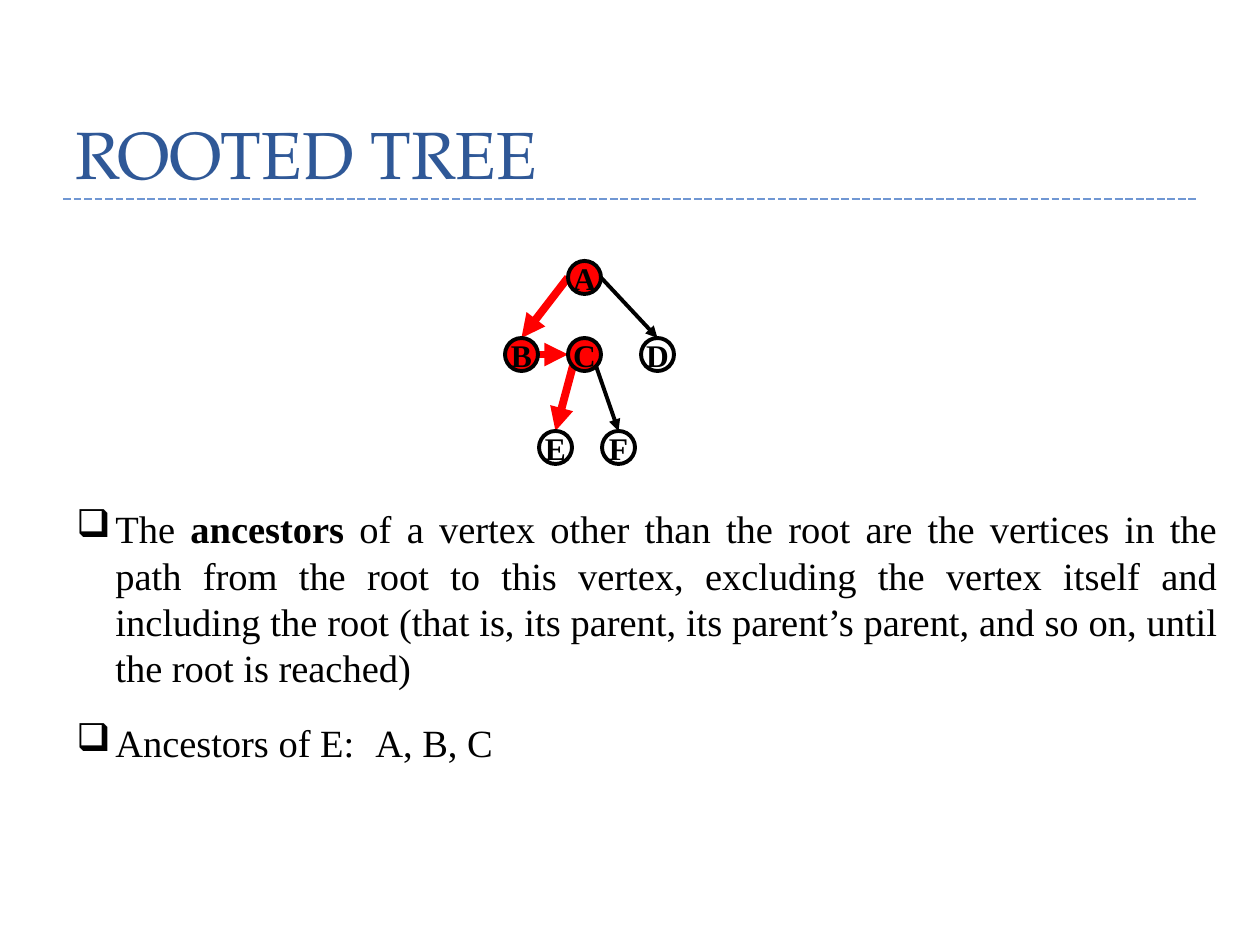
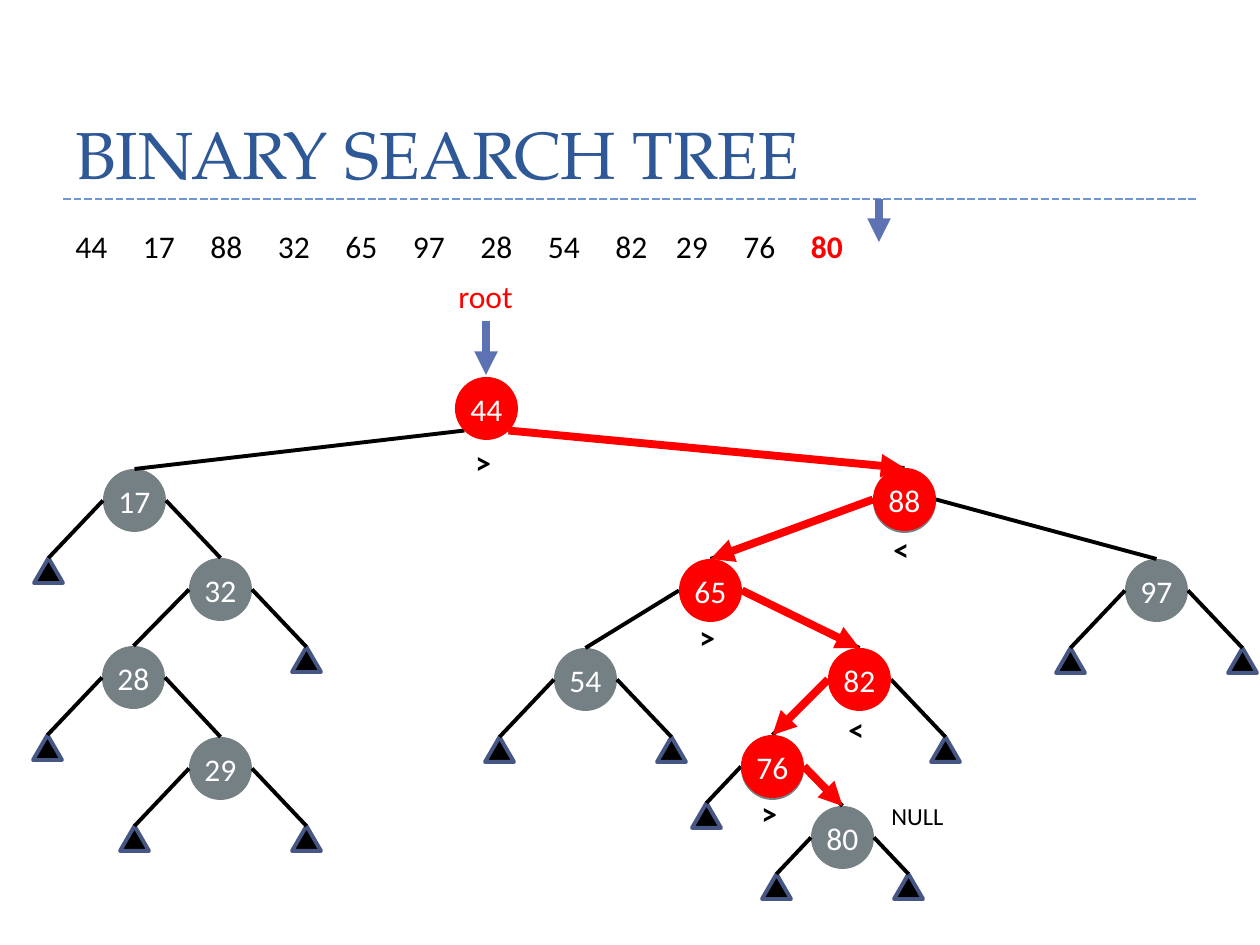
"""Build two slides on trees: ancestors in a rooted tree and a binary search."""
from pptx import Presentation, util as u
from pptx.dml.color import RGBColor
from pptx.enum import dml, shapes, text
from pptx.oxml.ns import qn
from lxml import etree

BLACK = RGBColor(0, 0, 0)
WHITE = RGBColor(255, 255, 255)
RED = RGBColor(255, 0, 0)
GREY = RGBColor(0x75, 0x80, 0x85)
NAVY = RGBColor(0x2F, 0x58, 0x97)
RULE = RGBColor(0x70, 0x97, 0xD3)
ARROW = RGBColor(0x5C, 0x72, 0xB2)
EDGE = RGBColor(0x47, 0x57, 0x85)
SERIF, SANS, HEAD = "Times New Roman", "Calibri", "TeX Gyre Pagella"
BODY = dict(font=SERIF, size=22, space=26.5)
PORTS = dict(l=(0, 0.5), r=(1, 0.5), t=(0.5, 0), sw=(0.15, 0.85), se=(0.85, 0.85))

ROOTED = dict(A=(568, 261), B=(505, 338), C=(568, 338),
              D=(641, 338), E=(539, 431), F=(602, 431))
LINKS = [("A", "r", "D", "t", False), ("C", "se", "F", "t", False),
         ("A", "l", "B", "t", True), ("B", "r", "C", "l", True),
         ("C", "sw", "E", "t", True)]
ABOVE = "ABC"
MEANING = [
    ("The ", {}), ("ancestors", dict(bold=True)),
    (" of a vertex other than the root are the vertices in the path from the "
     "root to this vertex, excluding the vertex itself and including the root "
     "(that is, its parent, its parent’s parent, and so on, until the root is "
     "reached)", {})]

KEYS = [44, 17, 88, 32, 65, 97, 28, 54, 82, 29, 76, 80]
SEARCH = {44: (455, 377), 17: (103, 469), 88: (873, 468), 32: (189, 558),
          97: (1125, 559), 65: (679, 559), 28: (102, 646), 54: (554, 648),
          82: (828, 648), 29: (189, 737), 76: (741, 735), 80: (811, 806)}
KIDS = {44: (17, 88), 17: (None, 32), 32: (28, None), 28: (None, 29),
        88: (65, 97), 65: (54, 82), 82: (76, None), 76: (None, 80)}
ROUTE = [44, 88, 65, 82, 76, 80]
SHADED = (88, 76)
SHORT = (76, 80)
SIGNS = {44: (">", 60), 88: ("<", 56), 65: (">", 53), 82: ("<", 56), 76: (">", 53)}
SMALL, LARGE = 33, 63


def px(n):
    return u.Emu(round(n * 914400 / 126))


def write(shape, runs, font=SANS, size=18, color=BLACK, bold=False, align="LEFT",
          anchor="TOP", pad=None, space=None, wrap=False, bullet=None, tabs=()):
    frame = shape.text_frame
    frame.word_wrap = wrap
    frame.vertical_anchor = text.MSO_ANCHOR[anchor]
    if pad is not None:
        frame.margin_left = frame.margin_right = px(pad)
        frame.margin_top = frame.margin_bottom = px(pad)
    para = frame.paragraphs[0]
    props = para._p.get_or_add_pPr()
    if bullet:
        props.set("marL", str(px(39)))
        props.set("indent", str(-px(39)))
        etree.SubElement(props, qn("a:buChar"), char=bullet)
    if tabs:
        stops = etree.SubElement(props, qn("a:tabLst"))
        for stop in tabs:
            etree.SubElement(stops, qn("a:tab"), pos=str(px(stop)), algn="l")
    para.alignment = text.PP_ALIGN[align]
    if space:
        para.line_spacing = u.Pt(space)
    for words, more in [(runs, {})] if isinstance(runs, str) else runs:
        run = para.add_run()
        run.text = words
        run.font.name, run.font.size = font, u.Pt(size)
        run.font.bold = more.get("bold", bold)
        run.font.color.rgb = more.get("color", color)


def label(slide, box, runs, **form):
    write(slide.shapes.add_textbox(*map(px, box)), runs, **form)


def line(slide, start, end, color=BLACK, width=2.25, head=False):
    link = slide.shapes.add_connector(
        shapes.MSO_CONNECTOR.STRAIGHT, *map(px, (*start, *end)))
    link.line.color.rgb, link.line.width = color, u.Pt(width)
    if head:
        etree.SubElement(link.line._get_or_add_ln(), qn("a:tailEnd"), type="triangle")
    etree.SubElement(link._element.spPr, qn("a:effectLst"))
    return link


def solid(slide, kind, box, fill=None, edge=None):
    shape = slide.shapes.add_shape(shapes.MSO_SHAPE[kind], *map(px, box))
    shape.shadow.inherit = False
    if fill is None:
        shape.fill.background()
    else:
        shape.fill.solid()
        shape.fill.fore_color.rgb = fill
    if edge is None:
        shape.line.fill.background()
    else:
        shape.line.color.rgb, shape.line.width = edge, u.Pt(2.25)
    return shape


def node(slide, spot, size, name, fill, edge=None, **form):
    shape = solid(slide, "OVAL", (*spot, size, size), fill, edge)
    write(shape, name, align="CENTER", anchor="MIDDLE", pad=0, **form)


def port(spot, size, side):
    return tuple(at + size * part for at, part in zip(spot, PORTS[side]))


def page(deck, title):
    slide = deck.slides.add_slide(deck.slide_layouts[6])
    rule = line(slide, (63, 199), (1197, 199), RULE, 1.5)
    rule.line.dash_style = dml.MSO_LINE.SQUARE_DOT
    label(slide, (63, -21, 1134, 220), title, font=HEAD, size=38, color=NAVY,
          anchor="BOTTOM", space=58, wrap=True)
    return slide


def rooted(deck):
    slide = page(deck, "ROOTED TREE")
    for top, out, low, into, hot in LINKS:
        line(slide, port(ROOTED[top], SMALL, out), port(ROOTED[low], SMALL, into),
             RED if hot else BLACK, 4.5 if hot else 2.25, head=True)
    for name, spot in ROOTED.items():
        node(slide, spot, SMALL, name, RED if name in ABOVE else None, BLACK,
             font=SERIF, bold=True)
    label(slide, (64, 499, 1166, 199), MEANING, align="JUSTIFY", wrap=True,
          bullet="❑", **BODY)
    label(slide, (64, 713, 316, 59), "Ancestors of E:", bullet="❑", **BODY)
    label(slide, (363, 713, 144, 59), "A, B, C", **BODY)


def branch(slide, key, side, kid):
    spot = SEARCH[key]
    out = port(spot, LARGE, dict(l="sw", r="se")[side] if key == KEYS[0] else side)
    if kid:
        line(slide, out, port(SEARCH[kid], LARGE, "t"))
        return
    reach, drop = (66, 68) if key in SHORT else (86, 89)
    tip = spot[0] + LARGE / 2 + (reach if side == "r" else -reach)
    low = spot[1] + drop
    solid(slide, "ISOSCELES_TRIANGLE", (tip - 14.5, low, 29, 25), BLACK, EDGE)
    line(slide, out, (tip, low))


def search(deck):
    slide = page(deck, "BINARY SEARCH TREE")
    stops = [67.5 * i - (7 if i > 8 else 0) for i in range(1, len(KEYS))]
    row = "".join(f"{key}\t" for key in KEYS[:-1])
    label(slide, (63, 221, 854, 50),
          [(row, {}), (str(KEYS[-1]), dict(color=RED, bold=True))],
          wrap=True, tabs=stops)
    hot = ROUTE[:-1]
    for key, spot in SEARCH.items():
        if key not in hot:
            node(slide, spot, LARGE, str(key), GREY, color=WHITE)
        elif key in SHADED:
            solid(slide, "OVAL", (spot[0], spot[1] + 2, LARGE, LARGE), GREY)
    for key in KEYS:
        for side, kid in zip("lr", KIDS.get(key, (None, None))):
            branch(slide, key, side, kid)
    for key, kid in zip(ROUTE, ROUTE[1:]):
        side = "lr"[KIDS[key].index(kid)]
        out = "se" if key == KEYS[0] else side
        line(slide, port(SEARCH[key], LARGE, out), port(SEARCH[kid], LARGE, "t"),
             RED, 4.5, head=True)
    for key in hot:
        left, top = SEARCH[key]
        node(slide, (left, top), LARGE, str(key), RED, color=WHITE)
        sign, drop = SIGNS[key]
        label(slide, (left + 8, top + drop, 47, 50), sign, bold=True)
    label(slide, (446, 271, 81, 50), "root", color=RED)
    label(slide, (879, 795, 98, 43), "NULL", size=14)
    for left, top, low in ((879, 199, 242), (486, 321, 375)):
        line(slide, (left, top), (left, low), ARROW, 4.5, head=True)


def main():
    deck = Presentation()
    deck.slide_width, deck.slide_height = px(1260), px(945)
    rooted(deck)
    search(deck)
    deck.save("out.pptx")


if __name__ == "__main__":
    main()
